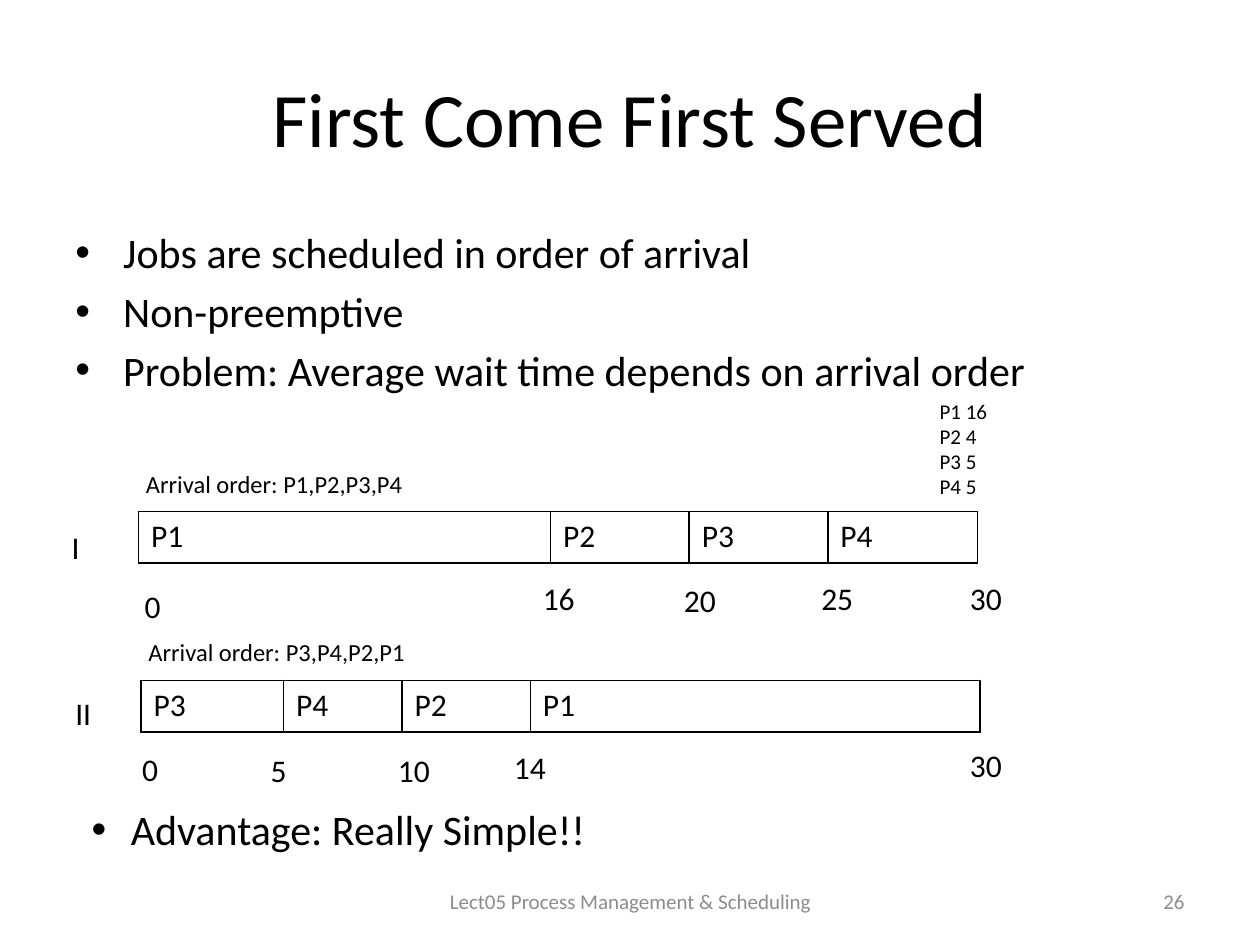
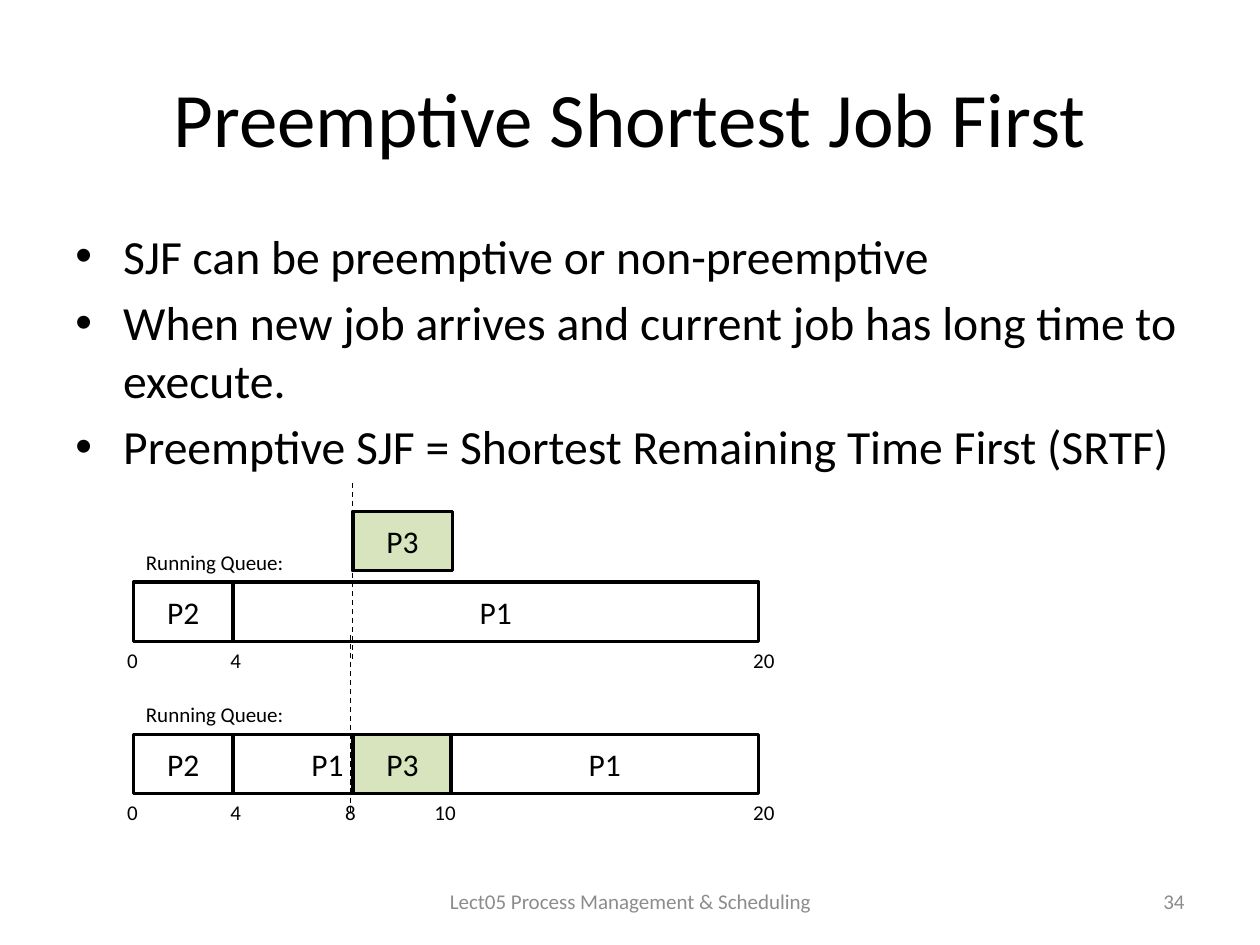
from dataclasses import dataclass

from lxml.etree import SubElement
from pptx import Presentation
from pptx.dml.color import RGBColor
from pptx.enum.dml import MSO_LINE
from pptx.enum.shapes import MSO_CONNECTOR, MSO_SHAPE
from pptx.enum.text import MSO_ANCHOR, PP_ALIGN
from pptx.oxml.ns import qn
from pptx.util import Inches, Pt


@dataclass(frozen=True)
class Theme:
    font: str = "Calibri"
    ink: RGBColor = RGBColor(0, 0, 0)
    paper: RGBColor = RGBColor(255, 255, 255)
    muted: RGBColor = RGBColor(0x8C, 0x8C, 0x8C)
    new_job: RGBColor = RGBColor(0xD7, 0xE4, 0xBD)
    title_size: float = 44
    bullet_size: float = 24
    large_bullet_size: float = 27.2
    label_size: float = 18
    caption_size: float = 14
    small_size: float = 12


theme = Theme()


def write(text_frame, text, size, color=theme.ink, align=PP_ALIGN.LEFT, indent=0, gap=0):
    """Fill a text frame; a positive indent (inches) makes bullets."""
    text_frame.text = text
    for index, paragraph in enumerate(text_frame.paragraphs):
        if indent:
            properties = paragraph._p.get_or_add_pPr()
            properties.set("marL", str(Inches(indent)))
            properties.set("indent", str(-Inches(indent)))
            SubElement(properties, qn("a:buFont"), typeface="Arial")
            SubElement(properties, qn("a:buChar"), char="•")
        paragraph.alignment = align
        if index and gap:
            paragraph.space_before = Pt(gap)
        for run in paragraph.runs:
            run.font.name = theme.font
            run.font.size = Pt(size)
            run.font.color.rgb = color


def add_text(slide, box, text, size, wrap=False, anchor=MSO_ANCHOR.TOP, **style):
    text_frame = slide.shapes.add_textbox(*map(Inches, box)).text_frame
    text_frame.word_wrap = wrap
    text_frame.vertical_anchor = anchor
    write(text_frame, text, size, **style)


presentation = Presentation()
presentation.slide_width = Inches(10)
presentation.slide_height = Inches(7.5)

# Shared frame: title, bullets, footer and page number
pages = [
    ("First Come First Served", 26, theme.bullet_size, 1.76,
     ["Jobs are scheduled in order of arrival",
      "Non-preemptive",
      "Problem: Average wait time depends on arrival order"]),
    ("Preemptive Shortest Job First", 34, theme.large_bullet_size, 2.16,
     ["SJF can be preemptive or non-preemptive",
      "When new job arrives and current job has long time to execute.",
      "Preemptive SJF = Shortest Remaining Time First (SRTF)"]),
]
for title, number, size, height, bullets in pages:
    slide = presentation.slides.add_slide(presentation.slide_layouts[6])
    add_text(slide, (0.5, 0.3, 9, 1.25), title, theme.title_size, wrap=True,
             anchor=MSO_ANCHOR.MIDDLE, align=PP_ALIGN.CENTER)
    add_text(slide, (0.5, 1.75, 9, height), "\n".join(bullets), size, wrap=True,
             indent=0.38, gap=size * 0.2)
    for left, width, text, align in [
        (3.42, 3.17, "Lect05 Process Management & Scheduling", PP_ALIGN.CENTER),
        (7.17, 2.33, str(number), PP_ALIGN.RIGHT),
    ]:
        add_text(slide, (left, 6.95, width, 0.4), text, theme.small_size, wrap=True,
                 anchor=MSO_ANCHOR.MIDDLE, align=align, color=theme.muted)
fcfs_slide, srtf_slide = presentation.slides

# First come first served: burst times and closing remark
add_text(fcfs_slide, (7.36, 3.11, 0.77, 0.91), "P1 16\nP2 4\nP3 5\nP4 5",
         theme.small_size, wrap=True)
add_text(fcfs_slide, (0.63, 6.33, 4.16, 0.5), "Advantage: Really Simple!!",
         theme.bullet_size, indent=0.31)

# Captions above the two schedules
for left, top, order in [(1.06, 3.67, "P1,P2,P3,P4"), (1.08, 5.01, "P3,P4,P2,P1")]:
    add_text(fcfs_slide, (left, top, 2.26, 0.34), f"Arrival order: {order}",
             theme.caption_size)

# Schedules as one-row tables
schedules = [
    (1.1, 4.06, [("P1", 3.27), ("P2", 1.1), ("P3", 1.1), ("P4", 1.19)]),
    (1.12, 5.4, [("P3", 1.13), ("P4", 0.94), ("P2", 1.02), ("P1", 3.57)]),
]
for left, top, jobs in schedules:
    table = fcfs_slide.shapes.add_table(
        1, len(jobs), Inches(left), Inches(top), Inches(6.67), Inches(0.41)).table
    table.first_row = table.horz_banding = False
    for index, (job, width) in enumerate(jobs):
        table.columns[index].width = Inches(width)
        cell = table.cell(0, index)
        write(cell.text_frame, job, theme.label_size)
        properties = cell._tc.get_or_add_tcPr()
        for side in ("a:lnL", "a:lnR", "a:lnT", "a:lnB"):
            border = SubElement(properties, qn(side), w=str(Pt(1)))
            fill = SubElement(border, qn("a:solidFill"))
            SubElement(fill, qn("a:srgbClr"), val=str(theme.ink))
        cell.fill.solid()
        cell.fill.fore_color.rgb = theme.paper

# Schedule numbers and time marks
marks = [
    (0.47, 4.14, "I"), (0.5, 5.46, "II"),
    (1.05, 4.61, "0"), (4.21, 4.55, "16"), (5.33, 4.56, "20"),
    (6.42, 4.55, "25"), (7.6, 4.55, "30"),
    (1.03, 5.9, "0"), (2.05, 5.91, "5"), (3.06, 5.91, "10"),
    (3.98, 5.89, "14"), (7.6, 5.87, "30"),
]
for left, top, mark in marks:
    width = 0.27 if mark == "I" else 0.46 if mark.isdigit() and len(mark) == 2 else 0.33
    add_text(fcfs_slide, (left, top, width, 0.4), mark, theme.label_size)

# Preemptive shortest job first: running queues, with P3 arriving at time 8
queue_tops = (4.62, 5.83)
before, after = queue_tops
jobs = [
    ("P2", 1.06, before, 0.79), ("P1", 1.85, before, 4.17), ("P3", 2.8, 4.06, 0.79),
    ("P2", 1.06, after, 0.79), ("P1", 1.85, after, 1.5),
    ("P3", 2.8, after, 0.79), ("P1", 3.58, after, 2.44),
]
for job, left, top, width in jobs:
    shape = srtf_slide.shapes.add_shape(
        MSO_SHAPE.RECTANGLE, Inches(left), Inches(top), Inches(width), Inches(0.47))
    shape.shadow.inherit = False
    shape.fill.solid()
    shape.fill.fore_color.rgb = theme.new_job if job == "P3" else theme.paper
    shape.line.color.rgb = theme.ink
    shape.line.width = Pt(2)
    shape.text_frame.vertical_anchor = MSO_ANCHOR.MIDDLE
    write(shape.text_frame, job, theme.label_size, align=PP_ALIGN.CENTER)

# Dashed guides at the arrival time
for x, top in [(2.8, 3.83), (2.78, 5.04)]:
    guide = srtf_slide.shapes.add_connector(
        MSO_CONNECTOR.STRAIGHT, Inches(x), Inches(top), Inches(x), Inches(top + 1.42))
    guide.line.color.rgb = theme.ink
    guide.line.width = Pt(0.75)
    guide.line.dash_style = MSO_LINE.DASH
    SubElement(guide._element.spPr, qn("a:effectLst"))

# Queue captions and time marks
for top in queue_tops:
    add_text(srtf_slide, (1.06, top - 0.31, 1.3, 0.3), "Running Queue:", theme.small_size)
    times = [(0.91, "0"), (1.73, "4"), (5.88, "20")]
    if top == after:
        times += [(2.64, "8"), (3.35, "10")]
    for left, time in times:
        width = 0.29 if len(time) == 1 else 0.37
        add_text(srtf_slide, (left, top + 0.47, width, 0.3), time, theme.small_size)

presentation.save("out.pptx")
